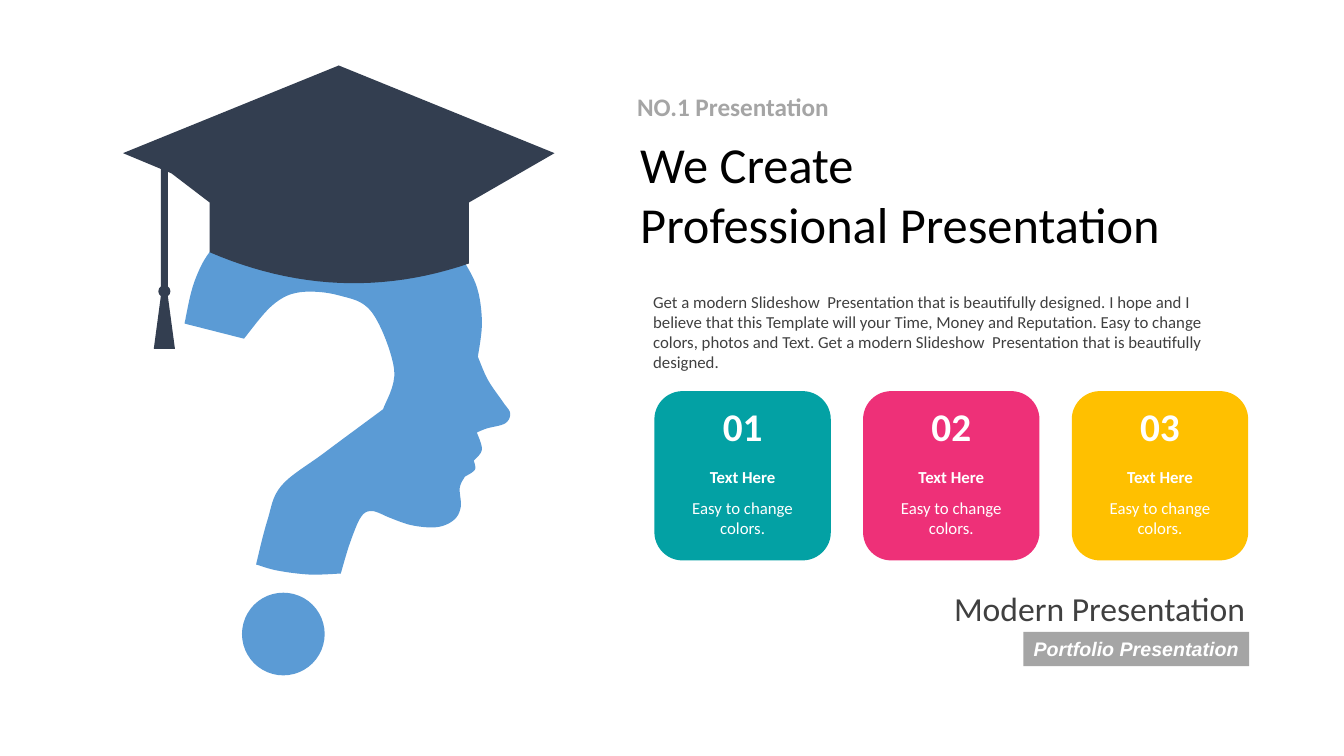
from itertools import pairwise

from pptx import Presentation
from pptx.dml.color import RGBColor
from pptx.enum.shapes import MSO_SHAPE
from pptx.enum.text import MSO_ANCHOR, MSO_AUTO_SIZE, PP_ALIGN
from pptx.util import Inches, Pt

TITLE = ["We Create", "Professional Presentation"]
KICKER = "NO.1 Presentation"
INTRO = ("Get a modern Slideshow  Presentation that is beautifully designed. "
         "I hope and I believe that this Template will your Time, Money and Reputation. "
         "Easy to change colors, photos and Text. "
         "Get a modern Slideshow  Presentation that is beautifully designed.")
CARD_HEADING = "Text Here"
CARD_DETAIL = "Easy to change colors."
CARD_COLORS = ["03A1A4", "EE3078", "FFC000"]
CLOSING = "Modern Presentation"
BADGE = "Portfolio Presentation"

BLUE, NAVY, GRAY, DARK, WHITE = "5B9BD5", "333E50", "A5A5A5", "404040", "FFFFFF"

HEAD_START = (1.83, 3.21)
HEAD_CURVES = {
    "skull": [(1.93, 2.79), (2.12, 2.45), (2.52, 2.11), (3.32, 1.93), (4.04, 2.09), (4.52, 2.46)],
    "forehead": [(4.72, 2.82), (4.78, 3.19), (4.74, 3.54)],
    "nose": [(4.84, 3.77), (4.99, 3.99), (5.06, 4.1), (5.01, 4.2), (4.83, 4.25), (4.73, 4.29)],
    "upper lip": [(4.78, 4.46), (4.7, 4.57)],
    "lower lip": [(4.71, 4.66), (4.61, 4.73)],
    "chin": [(4.56, 4.84), (4.57, 5.03), (4.5, 5.16), (4.33, 5.23), (4.08, 5.21), (3.85, 5.13)],
    "throat": [(3.69, 5.07), (3.58, 5.13), (3.47, 5.39), (3.38, 5.69)],
    "neck base": [(3.07, 5.7), (2.75, 5.66), (2.54, 5.6)],
    "nape": [(2.65, 5.17), (2.79, 4.82), (3.22, 4.49), (3.8, 4.06)],
    "hook": [(3.91, 3.67), (3.69, 3.1), (3.36, 2.93), (2.97, 2.9), (2.7, 3.03), (2.42, 3.36)],
}


def color(value):
    return RGBColor.from_string(value)


def paint(shape, fill):
    shape.shadow.inherit = False
    shape.fill.solid()
    shape.fill.fore_color.rgb = color(fill)
    shape.line.fill.background()
    return shape


def add_block(kind, left, top, width, height, fill):
    shape = slide.shapes.add_shape(kind, Inches(left), Inches(top), Inches(width), Inches(height))
    return paint(shape, fill)


def add_outline(points, fill):
    first, *others = [(Inches(x), Inches(y)) for x, y in points]
    builder = slide.shapes.build_freeform(*first)
    builder.add_line_segments(others, close=True)
    return paint(builder.convert_to_shape(), fill)


def smooth(knots, steps=8):
    padded = [knots[0], *knots, knots[-1]]
    points = []
    for index, (start, end) in enumerate(pairwise(knots)):
        before, after = padded[index], padded[index + 3]
        for step in range(1, steps + 1):
            t = step / steps
            points.append(tuple(
                a + t * (b - p) / 2
                + t ** 2 * (2 * p - 5 * a + 4 * b - q) / 2
                + t ** 3 * (3 * a - p - 3 * b + q) / 2
                for p, a, b, q in zip(before, start, end, after)))
    return points


def add_head():
    outline = [HEAD_START]
    for knots in HEAD_CURVES.values():
        outline += smooth([outline[-1], *knots])
    add_outline(outline, BLUE)
    add_block(MSO_SHAPE.OVAL, 2.4, 5.88, 0.82, 0.82, BLUE)


def add_cap():
    center, half_board, board_y = 3.36, 2.14, 1.52
    crown_left, crown_right, crown_top = 2.08, 4.65, 2.01
    brim_center, brim_bottom, brim_bend, brim_steps = 3.51, 2.81, 0.15, 24
    brim = []
    for step in range(brim_steps + 1):
        x = crown_left + (crown_right - crown_left) * step / brim_steps
        brim.append((x, brim_bottom - brim_bend * (x - brim_center) ** 2))
    add_outline([(center, 0.65), (center - half_board, board_y), (1.7, 1.72),
                 (crown_left, crown_top), *brim, (crown_right, crown_top),
                 (center + half_board, board_y)], NAVY)


def add_tassel():
    center, cord, knot, tuft = 1.63, 0.07, 0.12, 0.21
    for kind, top, width, height in [
        (MSO_SHAPE.RECTANGLE, 1.65, cord, 1.3),
        (MSO_SHAPE.OVAL, 2.83, knot, knot),
        (MSO_SHAPE.TRAPEZOID, 2.94, tuft, 0.52),
    ]:
        part = add_block(kind, center - width / 2, top, width, height, NAVY)
    part.adjustments[0] = (tuft - cord) / 2 / tuft


def write(shape, lines, size, fill, font="Calibri", bold=False, italic=False,
          align=PP_ALIGN.LEFT, anchor=MSO_ANCHOR.TOP, insets=(0.1, 0.05, 0.1, 0.05)):
    frame = shape.text_frame
    frame.word_wrap = True
    frame.auto_size = MSO_AUTO_SIZE.NONE
    frame.vertical_anchor = anchor
    frame.margin_left, frame.margin_top, frame.margin_right, frame.margin_bottom = map(Inches, insets)
    for index, line in enumerate(lines):
        paragraph = frame.add_paragraph() if index else frame.paragraphs[0]
        paragraph.alignment = align
        run = paragraph.add_run()
        run.text = line
        run.font.name, run.font.size = font, Pt(size)
        run.font.bold, run.font.italic = bold, italic
        run.font.color.rgb = color(fill)


def add_text(text, left, top, width, height, **text_format):
    box = slide.shapes.add_textbox(Inches(left), Inches(top), Inches(width), Inches(height))
    write(box, [text], **text_format)


def add_cards():
    first_left, top, width, height, pitch = 6.49, 3.88, 1.75, 1.68, 2.07
    for index, fill in enumerate(CARD_COLORS):
        left = first_left + index * pitch
        add_block(MSO_SHAPE.ROUNDED_RECTANGLE, left, top, width, height, fill)
        for text, offset, text_width, text_height, size, bold, anchor in [
            (f"{index + 1:02}", 0.08, 0.99, 0.53, 28, True, MSO_ANCHOR.MIDDLE),
            (CARD_HEADING, 0.7, 1.55, 0.3, 12, True, MSO_ANCHOR.TOP),
            (CARD_DETAIL, 1.01, 1.55, 0.5, 12, False, MSO_ANCHOR.TOP),
        ]:
            add_text(text, left + (width - text_width) / 2, top + offset, text_width, text_height,
                     size=size, fill=WHITE, bold=bold, align=PP_ALIGN.CENTER, anchor=anchor)


presentation = Presentation()
presentation.slide_width, presentation.slide_height = Inches(13.33), Inches(7.5)
slide = presentation.slides.add_slide(presentation.slide_layouts[5])

title = slide.shapes.title
title.left, title.top, title.width, title.height = map(Inches, (6.3, 1.32, 6.09, 1.21))
write(title, TITLE, size=36, fill="000000", insets=(0.05, 0, 0.03, 0))

add_head()
add_cap()
add_tassel()

add_text(KICKER, 6.22, 0.86, 6.17, 0.4, size=18, fill=GRAY, bold=True)
add_text(INTRO, 6.38, 2.84, 6, 0.91, size=12, fill=DARK)
add_cards()

add_text(CLOSING, 8.98, 5.83, 3.41, 0.4, size=24, fill=DARK, align=PP_ALIGN.RIGHT,
         anchor=MSO_ANCHOR.MIDDLE, insets=(0.04, 0, 0.04, 0))
badge = add_block(MSO_SHAPE.RECTANGLE, 10.15, 6.27, 2.24, 0.34, GRAY)
write(badge, [BADGE], size=14, fill=WHITE, font="Arial", bold=True, italic=True,
      align=PP_ALIGN.CENTER)

presentation.save("out.pptx")
